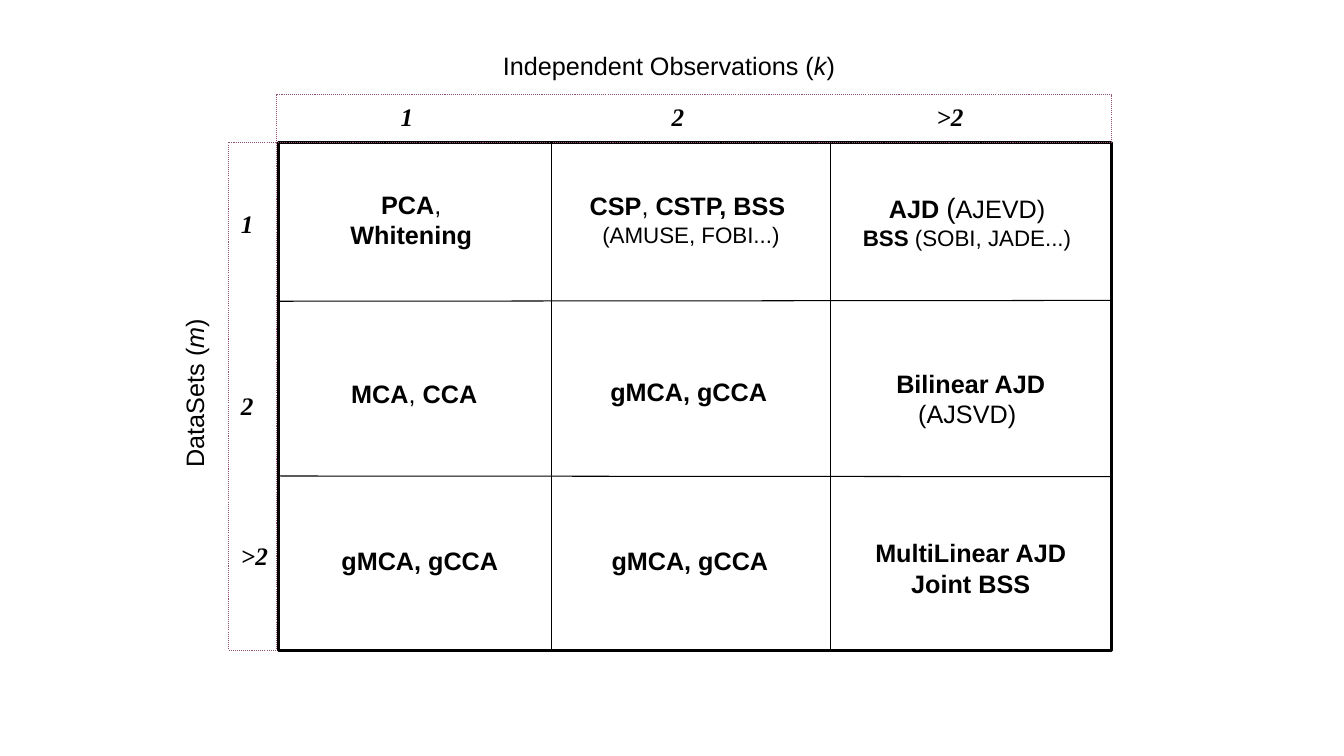
from pptx import Presentation
from pptx.dml.color import RGBColor
from pptx.enum import dml, shapes, text
from pptx.oxml import ns, xmlchemy
from pptx.util import Pt

BLACK, PLUM = "000000", "954F72"
BOLD, PLAIN, ITALIC = {"bold": True}, {"bold": False}, {"italic": True}


def color(hex_value):
    return RGBColor.from_string(hex_value)


def add_text(paragraphs, x, y, width, height=29, font="Arial", size=18,
             align=text.PP_ALIGN.CENTER, rotation=0):
    """Centre a text box on (x, y); each paragraph is a list of (words, format)."""
    box = slide.shapes.add_textbox(
        Pt(x - width / 2), Pt(y - height / 2), Pt(width), Pt(height))
    box.rotation = rotation
    frame = box.text_frame
    frame.word_wrap = True
    frame.vertical_anchor = text.MSO_ANCHOR.MIDDLE
    for index, runs in enumerate(paragraphs):
        para = frame.paragraphs[0] if index == 0 else frame.add_paragraph()
        para.alignment = align
        for words, style in runs:
            span = para.add_run()
            span.text = words
            span.font.name = font
            span.font.size = Pt(style.get("size", size))
            span.font.bold = style.get("bold", False)
            span.font.italic = style.get("italic", False)
            span.font.color.rgb = color(BLACK)


deck = Presentation()
deck.slide_width, deck.slide_height = Pt(960), Pt(540)
slide = deck.slides.add_slide(deck.slide_layouts[6])

# Grid frame and the dotted header strips
left, top, right, bottom = 198.7, 101.5, 794.2, 464.4
strip = 33.9
frames = [
    (left, top, right, bottom, BLACK, 2.25, None),
    (left - 35.3, top, left - 1.4, bottom, PLUM, 0.75, dml.MSO_LINE.ROUND_DOT),
    (left - 1.4, top - strip, right, top, PLUM, 0.75, dml.MSO_LINE.ROUND_DOT),
]
for x1, y1, x2, y2, line_color, weight, dash in frames:
    frame_box = slide.shapes.add_shape(
        shapes.MSO_SHAPE.RECTANGLE, Pt(x1), Pt(y1), Pt(x2 - x1), Pt(y2 - y1))
    frame_box.shadow.inherit = False
    frame_box.fill.background()
    frame_box.line.color.rgb = color(line_color)
    frame_box.line.width = Pt(weight)
    if dash:
        frame_box.line.dash_style = dash

# Inner grid lines
row_lines = [(left, y1, right, y2) for y1, y2 in ((215.2, 214.6), (340, 340.5))]
column_lines = [(x, top, x, bottom) for x in (393.8, 593.3)]
for x1, y1, x2, y2 in row_lines + column_lines:
    divider = slide.shapes.add_connector(
        shapes.MSO_CONNECTOR.STRAIGHT, Pt(x1), Pt(y1), Pt(x2), Pt(y2))
    divider.line.color.rgb = color(BLACK)
    divider.line.width = Pt(0.75)
    divider._element.spPr.append(xmlchemy.OxmlElement("a:effectLst"))

# Axis titles
add_text([[("Independent Observations (", PLAIN), ("k", ITALIC), (")", PLAIN)]],
         477.8, 46.8, 270)
add_text([[("DataSets (", PLAIN), ("m", ITALIC), (")", PLAIN)]],
         138.6, 280.8, 130, rotation=270)

# Column and row labels
labels = ["1", "2", ">2"]
label_style = {"bold": True, "italic": True}
for label, x, y in zip(labels, (290.7, 484.3, 678.6), (159.3, 289.3, 397)):
    add_text([[(label, label_style)]], x, 83.5, 60, font="Times New Roman")
    add_text([[(label, label_style)]], 185, y, 40, font="Times New Roman",
             align=text.PP_ALIGN.LEFT)

# Methods in the cells: centre x, centre y, paragraphs
SMALL = {"size": 16}
shared = [[("gMCA, gCCA", BOLD)]]
methods = [
    (293.8, 156.6, [[("PCA", BOLD), (",", PLAIN)], [("Whitening", BOLD)]]),
    (493.6, 156.6, [[("CSP", BOLD), (", ", PLAIN), ("CSTP, BSS ", BOLD)],
                    [("(AMUSE, FOBI...)", SMALL)]]),
    (690.8, 158, [[("AJD ", BOLD), ("(", {"size": 20}), ("AJEVD)", PLAIN)],
                  [("BSS", BOLD | SMALL), (" (SOBI, JADE...)", SMALL)]]),
    (295.9, 280.8, [[("MCA", BOLD), (", ", PLAIN), ("CCA", BOLD)]]),
    (492, 279.4, shared),
    (693.4, 284.8, [[("Bilinear AJD", BOLD)], [("(AJSVD) ", PLAIN)]]),
    (299.9, 400.3, shared),
    (492.8, 400.3, shared),
    (693.4, 405.7, [[("MultiLinear AJD", BOLD)], [("Joint BSS", BOLD)]]),
]
for x, y, paragraphs in methods:
    add_text(paragraphs, x, y, 175, height=7.2 + 21.8 * len(paragraphs))

deck.save("out.pptx")
